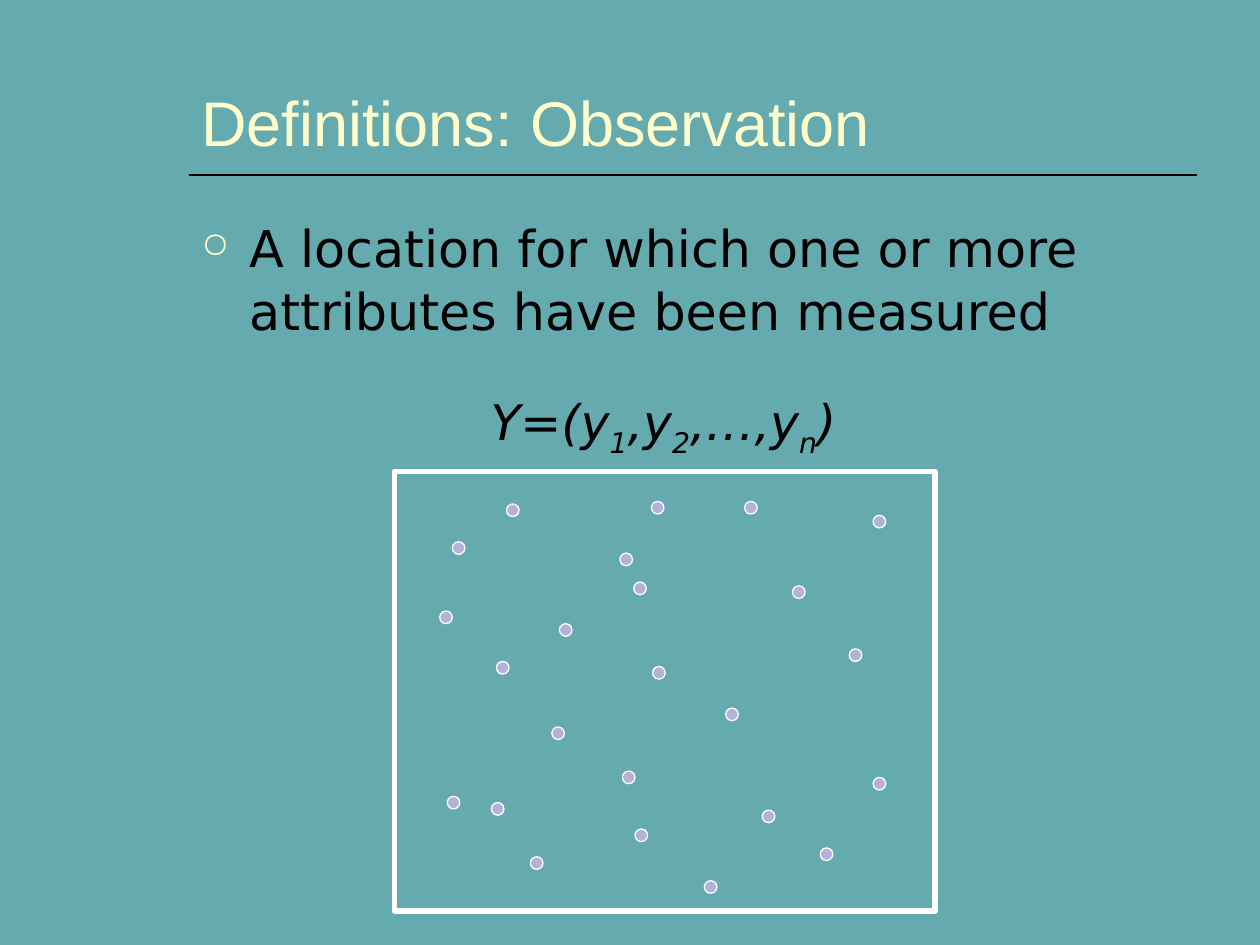
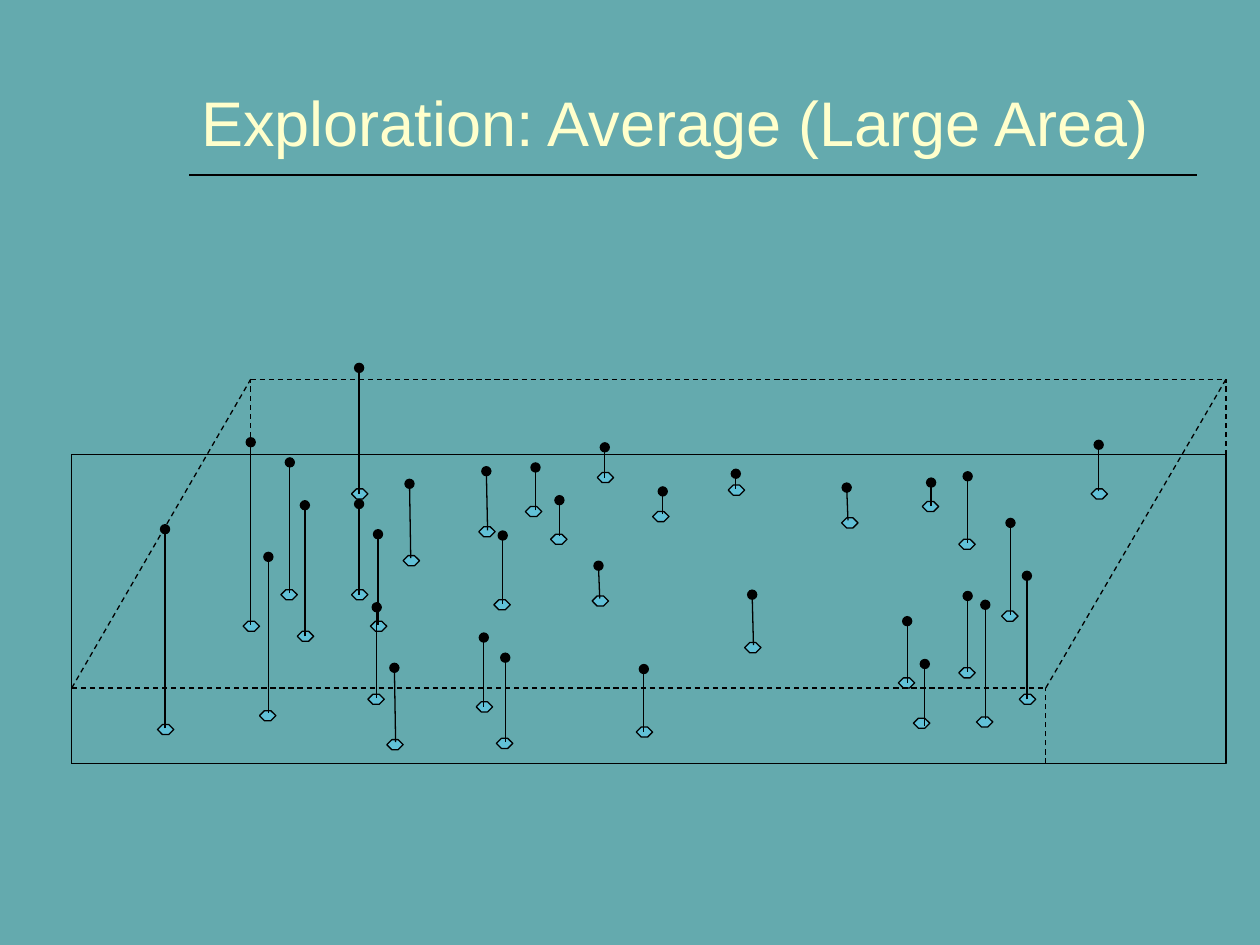
import lxml.etree
import pptx
import pptx.dml.color
import pptx.enum.dml
import pptx.enum.shapes
import pptx.enum.text
import pptx.oxml.ns
import pptx.util

EMU_PER_PX = 9144  # 100 px to the inch
PAGE_SIZE = (1000, 750)

RGB = pptx.dml.color.RGBColor
TEAL = RGB(0x64, 0xAA, 0xAE)
CREAM = RGB(0xFF, 0xFF, 0xCC)
BLACK = RGB(0x00, 0x00, 0x00)
WHITE = RGB(0xFF, 0xFF, 0xFF)
LILAC = RGB(0xB4, 0xB1, 0xDB)
SKY = RGB(0x61, 0xC1, 0xD7)

TITLE_FONT = "Arial"
BODY_FONT = "DejaVu Sans"
SHAPE = pptx.enum.shapes.MSO_SHAPE
ALIGN = pptx.enum.text.PP_ALIGN
ANCHOR = pptx.enum.text.MSO_ANCHOR

TITLE_BOX = (150, 6, 800, 125)
BODY_BOX = (150, 166, 800, 450)
FORMULA_BOX = (312, 306, 429, 63)
MAP_BOX = (313, 374, 429, 349)
BLOCK_BOX = (57, 301, 916, 305)

DOT_SIZE = 10
# Left and top of each observation within the map
OBSERVATIONS = [
    (190, 88), (204, 24), (89, 26), (380, 35), (179, 65), (181, 238),
    (338, 299), (316, 91), (131, 121), (46, 56), (205, 155), (36, 111),
    (246, 325), (278, 24), (125, 203), (292, 269), (263, 188), (191, 284),
    (380, 243), (361, 141), (81, 151), (108, 306), (77, 263), (42, 258),
]

MARKER_SIZE = (13, 8)
# Within the block: marker left and top, stem foot x and y, stem head x and y
SAMPLES = [
    (68, 274, 74, 277, 74, 119), (136, 192, 142, 195, 142, 50),
    (149, 263, 156, 265, 156, 141), (166, 167, 173, 170, 173, 66),
    (179, 200, 185, 204, 185, 100), (222, 167, 228, 171, 228, 99),
    (222, 87, 228, 91, 228, -9), (237, 192, 243, 195, 243, 123),
    (235, 250, 242, 253, 242, 181), (250, 286, 257, 288, 256, 229),
    (263, 140, 269, 142, 268, 83), (323, 117, 330, 120, 329, 73),
    (335, 175, 342, 178, 342, 124), (321, 256, 327, 260, 327, 205),
    (337, 285, 344, 288, 344, 221), (448, 276, 454, 280, 454, 230),
    (360, 101, 368, 104, 368, 70), (380, 123, 387, 124, 387, 96),
    (417, 74, 423, 78, 423, 54), (461, 105, 469, 107, 469, 89),
    (521, 84, 527, 87, 527, 75), (611, 110, 616, 112, 615, 86),
    (413, 172, 419, 174, 418, 148), (534, 209, 541, 211, 540, 171),
    (656, 237, 663, 241, 663, 192), (668, 269, 677, 275, 677, 226),
    (704, 229, 711, 232, 711, 172), (718, 268, 725, 270, 725, 179),
    (752, 250, 758, 254, 758, 156), (738, 184, 745, 187, 745, 114),
    (704, 127, 711, 130, 711, 77), (675, 97, 682, 101, 682, 82),
    (809, 87, 815, 89, 815, 52),
]


def px(length):
    return pptx.util.Emu(length * EMU_PER_PX)


def add_xml(parent, tag, **attributes):
    return lxml.etree.SubElement(parent, pptx.oxml.ns.qn(tag), attributes)


def add_text_box(page, box, anchor=ANCHOR.TOP):
    """Add a wrapping text box and return its first paragraph."""
    frame = page.shapes.add_textbox(*map(px, box)).text_frame
    frame.word_wrap = True
    frame.vertical_anchor = anchor
    return frame.paragraphs[0]


def add_span(para, text, size, color, font, italic=False, subscript=False):
    span = para.add_run()
    span.text = text
    span.font.size = pptx.util.Pt(size)
    span.font.name = font
    span.font.color.rgb = color
    if italic:
        span.font.italic = True
    if subscript:
        span._r.get_or_add_rPr().set("baseline", "-25000")


def add_outlined(page, kind, box, line_color, line_width, fill=None):
    shape = page.shapes.add_shape(kind, *map(px, box))
    shape.shadow.inherit = False
    if fill is None:
        shape.fill.background()
    else:
        shape.fill.solid()
        shape.fill.fore_color.rgb = fill
    shape.line.color.rgb = line_color
    shape.line.width = pptx.util.Pt(line_width)
    return shape


def add_line(page, start, end, width=0.75, dashed=False, oval_end=False):
    line = page.shapes.add_connector(
        pptx.enum.shapes.MSO_CONNECTOR.STRAIGHT, *map(px, (*start, *end)))
    line.line.color.rgb = BLACK
    line.line.width = pptx.util.Pt(width)
    if dashed:
        line.line.dash_style = pptx.enum.dml.MSO_LINE.DASH
    properties = line.element.spPr
    if oval_end:
        add_xml(properties.find(pptx.oxml.ns.qn("a:ln")), "a:tailEnd", type="oval")
    add_xml(properties, "a:effectLst")


def add_page(deck, title):
    """Add a page with the shared background, title and rule."""
    page = deck.slides.add_slide(deck.slide_layouts[6])
    page.background.fill.solid()
    page.background.fill.fore_color.rgb = TEAL
    left, top, width, height = TITLE_BOX
    rule_y = top + height + 8
    add_line(page, (left, rule_y), (left + width, rule_y), width=1)
    para = add_text_box(page, TITLE_BOX, ANCHOR.BOTTOM)
    add_span(para, title, 36, CREAM, TITLE_FONT)
    return page


def add_bullet(page, box, text):
    para = add_text_box(page, box)
    properties = para._p.get_or_add_pPr()
    properties.set("marL", str(px(38)))
    properties.set("indent", str(px(-38)))
    bullet_color = add_xml(properties, "a:buClr")
    add_xml(bullet_color, "a:srgbClr", val=str(CREAM))
    add_xml(properties, "a:buSzPct", val="70000")
    add_xml(properties, "a:buChar", char="○")
    para.line_spacing = 1.03
    add_span(para, text, 29, BLACK, BODY_FONT)


def add_formula(page, box):
    para = add_text_box(page, box)
    para.alignment = ALIGN.CENTER
    # Every second part is a subscript
    for index, text in enumerate(["Y=(y", "1", ",y", "2", ",…,y", "n", ")"]):
        add_span(para, text, 28, BLACK, BODY_FONT,
                 italic=True, subscript=index % 2 == 1)


def add_observation_map(page, box):
    left, top = box[:2]
    add_outlined(page, SHAPE.RECTANGLE, box, WHITE, 3)
    for x, y in OBSERVATIONS:
        dot_box = (left + x, top + y, DOT_SIZE, DOT_SIZE)
        add_outlined(page, SHAPE.OVAL, dot_box, WHITE, 0.75, LILAC)


def add_sample_block(page, box):
    """Draw a block in perspective with a stem rising from each sample."""
    left, top, width, height = box
    rise, slant = 60, 142
    right, bottom = left + width, top + height
    back_left, front_right = left + slant, right - slant - 1
    front_top = bottom - rise

    base = add_outlined(page, SHAPE.PARALLELOGRAM,
                        (left, top + rise, width, height - rise), BLACK, 0.75)
    base.adjustments[0] = -0.489

    for x, y, *_ in SAMPLES:
        marker = add_outlined(page, SHAPE.OCTAGON,
                              (left + x, top + y, *MARKER_SIZE), BLACK, 0.75, SKY)
        marker.adjustments[0] = 0.5
    for _, _, foot_x, foot_y, head_x, head_y in SAMPLES:
        add_line(page, (left + foot_x, top + foot_y),
                 (left + head_x, top + head_y), oval_end=True)

    edges = [
        ((left, front_top), (front_right, front_top)),
        ((left, bottom), (left, front_top)),
        ((front_right, bottom), (front_right, front_top)),
        ((right, top + rise), (right, top)),
        ((back_left, top + rise), (back_left, top)),
        ((front_right, front_top), (right, top)),
        ((left, front_top), (back_left, top)),
        ((back_left, top), (right, top)),
    ]
    for start, end in edges:
        add_line(page, start, end, dashed=True)


def build_observation_page(deck):
    page = add_page(deck, "Definitions: Observation")
    add_bullet(page, BODY_BOX,
               "A location for which one or more attributes have been measured")
    add_formula(page, FORMULA_BOX)
    add_observation_map(page, MAP_BOX)


def build_average_page(deck):
    page = add_page(deck, "Exploration: Average (Large Area)")
    add_sample_block(page, BLOCK_BOX)


def main():
    deck = pptx.Presentation()
    deck.slide_width, deck.slide_height = map(px, PAGE_SIZE)
    build_observation_page(deck)
    build_average_page(deck)
    deck.save("out.pptx")


if __name__ == "__main__":
    main()
